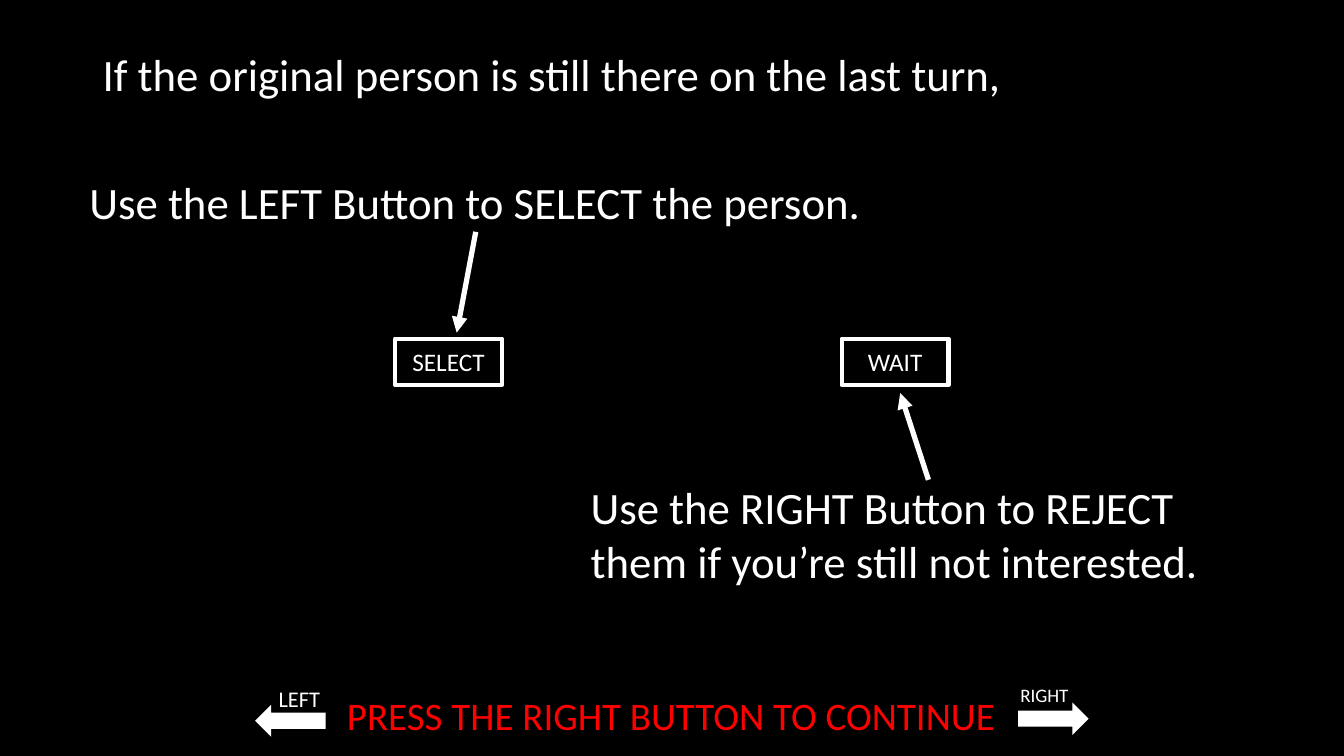
from typing import NamedTuple

from lxml import etree
from pptx import Presentation
from pptx.dml.color import RGBColor
from pptx.enum.shapes import MSO_CONNECTOR, MSO_SHAPE
from pptx.enum.text import MSO_ANCHOR, PP_ALIGN
from pptx.oxml.ns import qn
from pptx.util import Inches, Pt

LEFT, CENTER = PP_ALIGN.LEFT, PP_ALIGN.CENTER
TOP, MIDDLE = MSO_ANCHOR.TOP, MSO_ANCHOR.MIDDLE
STRAIGHT = MSO_CONNECTOR.STRAIGHT
RECTANGLE, BLOCK_ARROW = MSO_SHAPE.RECTANGLE, MSO_SHAPE.RIGHT_ARROW

FONT = "Calibri"
COLORS = {"back": "000000", "ink": "FFFFFF", "prompt": "FF0000"}
WIDTH, HEIGHT = Inches(13.33), Inches(7.5)


class Area(NamedTuple):
    """A rectangle in percent of the slide's width and height."""
    left: float
    top: float
    width: float
    height: float


class Label(NamedTuple):
    """A text box and its look."""
    area: Area
    text: str
    size: float = 32
    align: PP_ALIGN = LEFT
    anchor: MSO_ANCHOR = TOP
    color: str = "ink"


class Pointer(NamedTuple):
    """An arrow between two points, in percent of the slide."""
    start: tuple[float, float]
    end: tuple[float, float]


class Hint(NamedTuple):
    """A captioned block arrow for one button."""
    caption: Label
    arrow: Area
    rotation: int


BUTTON_TOP, BUTTON_WIDTH, BUTTON_HEIGHT = 44.8, 7.95, 6.13
BUTTONS = {"SELECT": 29.4, "WAIT": 62.63}

LABELS = [
    Label(Area(6.9, 5.47, 89.8, 32.4),
          "If the original person is still there on the last turn,"),
    Label(Area(4.65, 22.4, 61.43, 8.27),
          "Use the LEFT Button to SELECT the person.", align=CENTER),
    Label(Area(43.2, 62.8, 51.83, 15.73),
          "Use the RIGHT Button to REJECT\nthem if you’re still not interested."),
    Label(Area(24.9, 89.73, 50.1, 9.6), "PRESS THE RIGHT BUTTON TO CONTINUE",
          27.8, CENTER, MIDDLE, "prompt"),
]
POINTERS = [
    Pointer((35.4, 30.67), (33.98, 44)),
    Pointer((69.08, 63.47), (66.98, 52)),
]
HINTS = [
    Hint(Label(Area(75.08, 89.73, 5.25, 4.27), "RIGHT", 13.6, CENTER),
         Area(75.75, 92.93, 5.25, 4.27), 0),
    Hint(Label(Area(19.65, 90, 5.25, 4.67), "LEFT", 16, CENTER),
         Area(18.98, 93.2, 5.25, 4.27), 180),
]


def rgb(name: str) -> RGBColor:
    """Look up a named colour."""
    return RGBColor.from_string(COLORS[name])


def across(share: float) -> int:
    """Turn a percentage of the width into a length."""
    return round(WIDTH * share / 100)


def down(share: float) -> int:
    """Turn a percentage of the height into a length."""
    return round(HEIGHT * share / 100)


def place(area: Area) -> tuple[int, int, int, int]:
    """Turn an area into left, top, width and height."""
    return (across(area.left), down(area.top),
            across(area.width), down(area.height))


def write(shape, label: Label) -> None:
    """Put a label's text into a shape and format it."""
    frame = shape.text_frame
    frame.text = label.text
    frame.word_wrap = True
    frame.vertical_anchor = label.anchor
    for para in frame.paragraphs:
        para.alignment = label.align
        for span in para.runs:
            span.font.name = FONT
            span.font.size = Pt(label.size)
            span.font.color.rgb = rgb(label.color)


def add_label(shapes, label: Label) -> None:
    """Add a text box."""
    write(shapes.add_textbox(*place(label.area)), label)


def add_solid(shapes, kind: MSO_SHAPE, area: Area, fill: str):
    """Add a flat preset shape without an outline."""
    shape = shapes.add_shape(kind, *place(area))
    shape.shadow.inherit = False
    shape.fill.solid()
    shape.fill.fore_color.rgb = rgb(fill)
    shape.line.fill.background()
    return shape


def add_button(shapes, text: str, left: float) -> None:
    """Add an outlined button with its name."""
    area = Area(left, BUTTON_TOP, BUTTON_WIDTH, BUTTON_HEIGHT)
    box = add_solid(shapes, RECTANGLE, area, "back")
    box.line.color.rgb = rgb("ink")
    box.line.width = Pt(3)
    write(box, Label(area, text, 18, CENTER, MIDDLE))


def add_pointer(shapes, pointer: Pointer) -> None:
    """Add a line with a triangular head at its end."""
    (x1, y1), (x2, y2) = pointer
    line = shapes.add_connector(STRAIGHT, across(x1), down(y1),
                                across(x2), down(y2))
    line.line.color.rgb = rgb("ink")
    line.line.width = Pt(3.75)
    etree.SubElement(line.line._get_or_add_ln(), qn("a:tailEnd"), type="triangle")
    etree.SubElement(line._element.spPr, qn("a:effectLst"))


def add_hint(shapes, hint: Hint) -> None:
    """Add a grouped caption and block arrow."""
    group = shapes.add_group_shape()
    add_label(group.shapes, hint.caption)
    arrow = add_solid(group.shapes, BLOCK_ARROW, hint.arrow, "ink")
    arrow.rotation = hint.rotation


deck = Presentation()
deck.slide_width, deck.slide_height = WIDTH, HEIGHT
page = deck.slides.add_slide(deck.slide_layouts[6])
page.background.fill.solid()
page.background.fill.fore_color.rgb = rgb("back")

for label in LABELS:
    add_label(page.shapes, label)
for name, left in BUTTONS.items():
    add_button(page.shapes, name, left)
for pointer in POINTERS:
    add_pointer(page.shapes, pointer)
for hint in HINTS:
    add_hint(page.shapes, hint)

deck.save("out.pptx")
